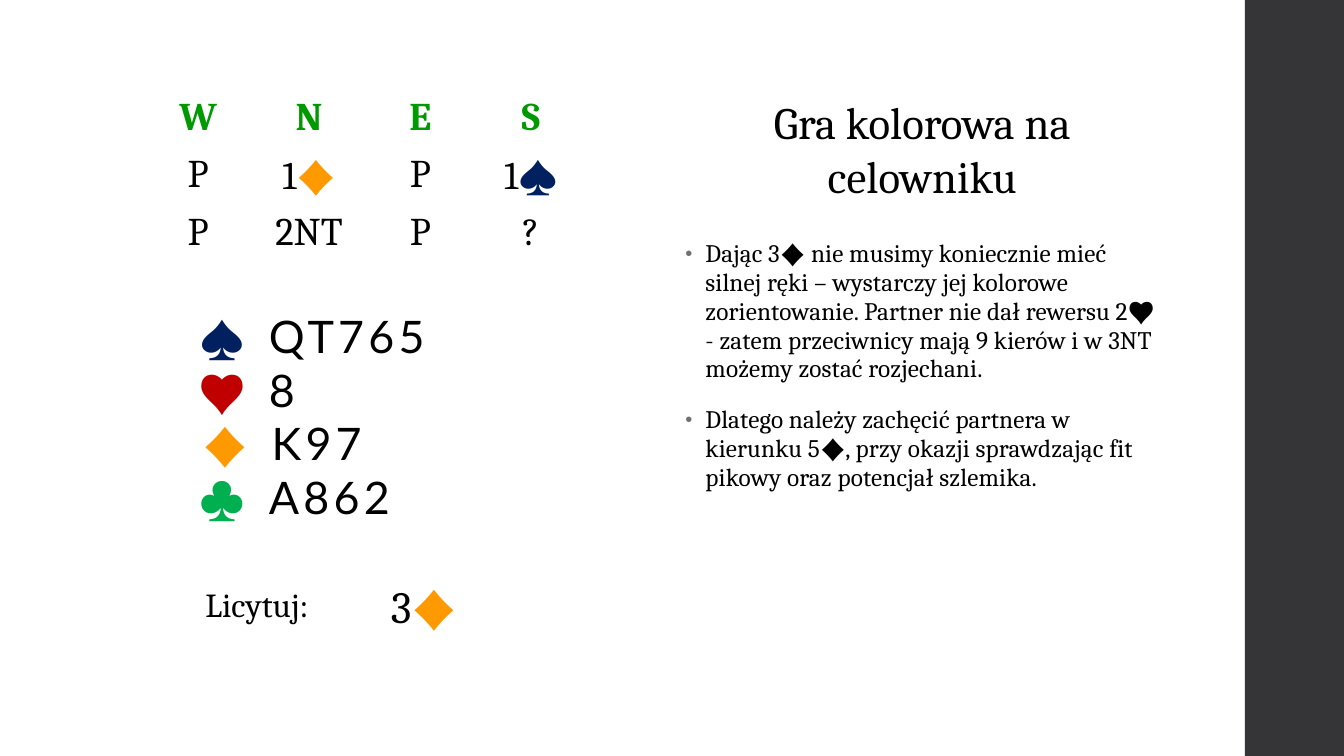
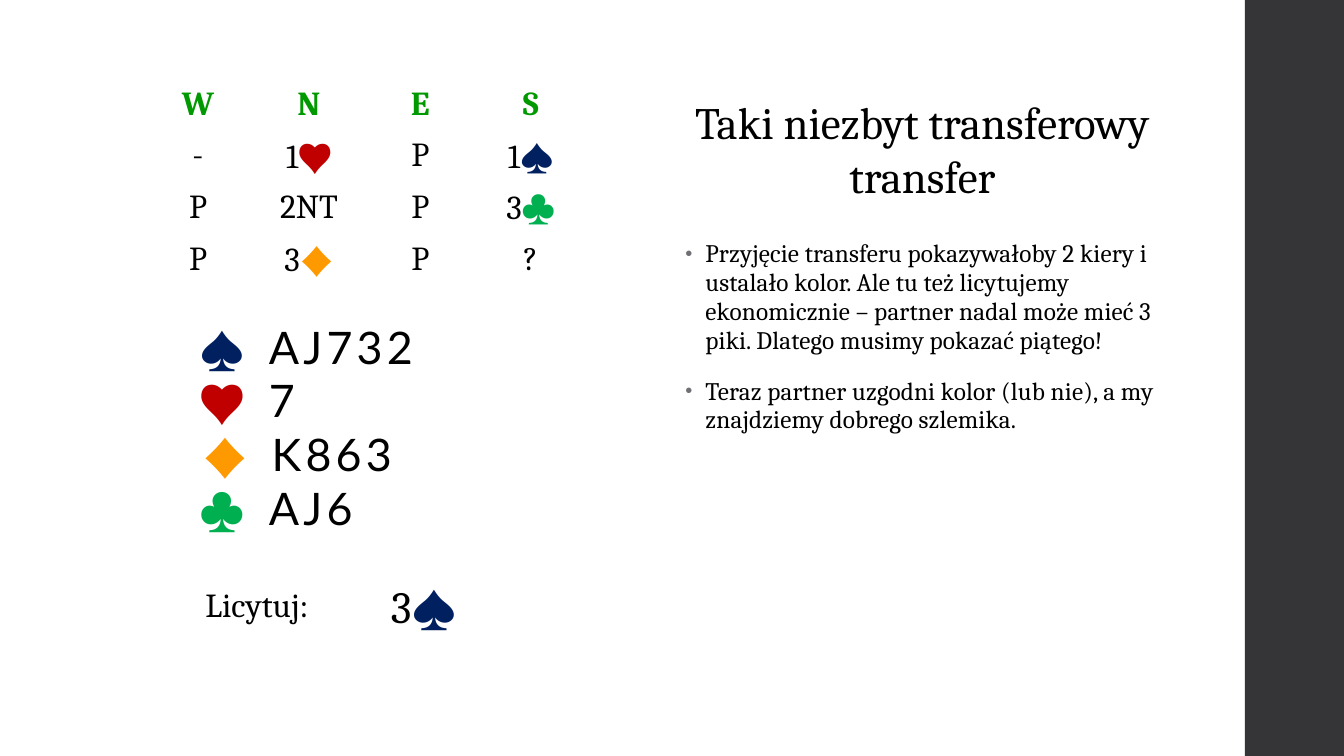
from itertools import groupby

from lxml.etree import SubElement
from pptx import Presentation
from pptx.dml.color import RGBColor
from pptx.enum.shapes import MSO_SHAPE as Shape
from pptx.enum.text import MSO_ANCHOR as Anchor, MSO_AUTO_SIZE as AutoSize, PP_ALIGN as Align
from pptx.oxml.ns import qn
from pptx.util import Pt

SERIF, SANS = "Cambria", "Lato"
BLACK = RGBColor(0x00, 0x00, 0x00)
BAND_GRAY = RGBColor(0x35, 0x35, 0x37)
HEADER_GREEN = RGBColor(0x00, 0x99, 0x00)
BULLET_GRAY = RGBColor(0x6F, 0x6F, 0x74)
SUIT_COLOURS = {
    "♠": RGBColor(0x00, 0x20, 0x60),
    "♥": RGBColor(0xC0, 0x00, 0x00),
    "♦": RGBColor(0xFF, 0x99, 0x00),
    "♣": RGBColor(0x00, 0xB0, 0x50),
}

SLIDE_WIDTH, SLIDE_HEIGHT = 960, 540
BAND_LEFT = 889.2
RIGHT_LEFT, RIGHT_WIDTH = 482.4, 353
AUCTION_COLUMNS = (78.5, 80, 79, 79)
BID_COLUMNS = (177, 114)

DEALS = (
    {
        "title": "Gra kolorowa na celowniku",
        "auction": (("W", "N", "E", "S"), ("P", "1♦", "P", "1♠"), ("P", "2NT", "P", "?")),
        "auction_top": 63.4,
        "auction_size": 28,
        "hand": ("QT765", "8", "K97", "A862"),
        "hand_top": 216.8,
        "bid": "3♦",
        "comments": (
            "Dając 3♦ nie musimy koniecznie mieć silnej ręki – wystarczy jej kolorowe "
            "zorientowanie. Partner nie dał rewersu 2♥ - zatem przeciwnicy mają 9 kierów "
            "i w 3NT możemy zostać rozjechani.",
            "Dlatego należy zachęcić partnera w kierunku 5♦, przy okazji sprawdzając fit "
            "pikowy oraz potencjał szlemika.",
        ),
    },
    {
        "title": "Taki niezbyt transferowy transfer",
        "auction": (("W", "N", "E", "S"), ("-", "1♥", "P", "1♠"),
                    ("P", "2NT", "P", "3♣"), ("P", "3♦", "P", "?")),
        "auction_top": 56.9,
        "auction_size": 24,
        "hand": ("AJ732", "7", "K863", "AJ6"),
        "hand_top": 224.6,
        "bid": "3♠",
        "comments": (
            "Przyjęcie transferu pokazywałoby 2 kiery i ustalało kolor. Ale tu też "
            "licytujemy ekonomicznie – partner nadal może mieć 3 piki. Dlatego musimy "
            "pokazać piątego!",
            "Teraz partner uzgodni kolor (lub nie), a my znajdziemy dobrego szlemika.",
        ),
    },
)


def style_span(span, size, font=SERIF, colour=BLACK, bold=False, spacing=0):
    span.font.size = Pt(size)
    span.font.name = font
    span.font.color.rgb = colour
    span.font.bold = bold
    if spacing:
        span._r.get_or_add_rPr().set("spc", str(round(spacing * 100)))


def add_span(para, text, size, **style):
    span = para.add_run()
    span.text = text
    style_span(span, size, **style)


def add_call(para, call, size, **style):
    """Write a bid, with its suit symbol in the suit's colour."""
    for suit, characters in groupby(call, key=SUIT_COLOURS.get):
        text = "".join(characters)
        if suit is None:
            add_span(para, text, size, **style)
        else:
            add_span(para, text, size, font=SANS, colour=suit, spacing=3)


def add_plain_table(slide, left, top, columns, row_count, row_height):
    frame = slide.shapes.add_table(row_count, len(columns), Pt(left), Pt(top),
                                   Pt(sum(columns)), Pt(row_count * row_height))
    table = frame.table
    table.first_row = table.horz_banding = False
    for column, width in zip(table.columns, columns):
        column.width = Pt(width)
    for cell in table.iter_cells():
        cell.fill.background()
        cell.vertical_anchor = Anchor.MIDDLE
        cell.text_frame.paragraphs[0].alignment = Align.CENTER
    return table


def row_height(size):
    """Height of one line of text plus the cell margins."""
    return round(size * 1.2 + 7.2, 2)


def add_auction(slide, rows, top, size):
    table = add_plain_table(slide, 102.2, top, AUCTION_COLUMNS, len(rows), row_height(size))
    for row_index, calls in enumerate(rows):
        header = row_index == 0
        for column_index, call in enumerate(calls):
            para = table.cell(row_index, column_index).text_frame.paragraphs[0]
            add_call(para, call, size, bold=header, colour=HEADER_GREEN if header else BLACK)


def add_bid(slide, bid):
    table = add_plain_table(slide, 95, 410.4, BID_COLUMNS, 1, row_height(32))
    label, answer = (cell.text_frame.paragraphs[0] for cell in table.iter_cells())
    add_span(label, "Licytuj:", 24)
    answer.alignment = Align.LEFT
    add_call(answer, bid, 32)


def add_text_box(slide, left, top, width, height):
    box = slide.shapes.add_textbox(Pt(left), Pt(top), Pt(width), Pt(height))
    box.text_frame.word_wrap = True
    return box.text_frame


def paragraphs_for(frame, items):
    """Pair each item with its own paragraph of the frame."""
    for index, item in enumerate(items):
        yield (frame.add_paragraph() if index else frame.paragraphs[0]), item


def set_tabs(para, *stops):
    tabs = SubElement(para._p.get_or_add_pPr(), qn("a:tabLst"))
    for position, alignment in stops:
        SubElement(tabs, qn("a:tab"), pos=str(Pt(position)), algn=alignment)


def add_hand(slide, holdings, top):
    frame = add_text_box(slide, 134.6, top, 251.3, 162.7)
    for para, (suit, cards) in paragraphs_for(frame, zip(SUIT_COLOURS, holdings)):
        if suit == "♦":
            para._p.get_or_add_pPr().set("marL", str(Pt(2)))
        set_tabs(para, (36, "r"), (50.4, "l"))
        add_span(para, "\t", 28, font=SANS, spacing=3)
        add_span(para, f"{suit}\t", 32, font=SANS, colour=SUIT_COLOURS[suit], spacing=3)
        add_span(para, cards, 32, font=SANS, spacing=3)


def set_bullet(para, indent):
    properties = para._p.get_or_add_pPr()
    properties.set("marL", str(Pt(indent)))
    properties.set("indent", str(-Pt(indent)))
    colour = SubElement(properties, qn("a:buClr"))
    SubElement(colour, qn("a:srgbClr"), val=str(BULLET_GRAY))
    SubElement(properties, qn("a:buSzPct"), val="80000")
    SubElement(properties, qn("a:buFont"), typeface="Arial")
    SubElement(properties, qn("a:buChar"), char="•")


def add_comments(slide, comments):
    frame = add_text_box(slide, RIGHT_LEFT, 167.8, RIGHT_WIDTH, 324.7)
    for para, comment in paragraphs_for(frame, comments):
        set_bullet(para, 14.4)
        para.line_spacing = 0.95
        para.space_before = Pt(0 if comment is comments[0] else 14)
        para.space_after = Pt(2)
        add_span(para, comment, 18, spacing=0.1)


def set_title(slide, text):
    title = slide.shapes.title
    title.left, title.top = Pt(RIGHT_LEFT), Pt(63.4)
    title.width, title.height = Pt(RIGHT_WIDTH), Pt(85)
    frame = title.text_frame
    frame.text = text
    frame.word_wrap = True
    frame.auto_size = AutoSize.NONE
    frame.vertical_anchor = Anchor.MIDDLE
    para = frame.paragraphs[0]
    para.alignment = Align.CENTER
    style_span(para.runs[0], 32)


def add_layout_band(slide):
    """Draw the side band and move it to the layout, so all slides show it."""
    band = slide.shapes.add_shape(Shape.RECTANGLE, Pt(BAND_LEFT), 0,
                                  Pt(SLIDE_WIDTH - BAND_LEFT), Pt(SLIDE_HEIGHT))
    band.shadow.inherit = False
    band.fill.solid()
    band.fill.fore_color.rgb = BAND_GRAY
    band.line.fill.background()
    slide.slide_layout.shapes.element.append(band.element)


def add_deal(deck, deal):
    slide = deck.slides.add_slide(deck.slide_layouts.get_by_name("Title Only"))
    set_title(slide, deal["title"])
    add_auction(slide, deal["auction"], deal["auction_top"], deal["auction_size"])
    add_hand(slide, deal["hand"], deal["hand_top"])
    add_bid(slide, deal["bid"])
    add_comments(slide, deal["comments"])
    return slide


def main():
    deck = Presentation()
    deck.slide_width, deck.slide_height = Pt(SLIDE_WIDTH), Pt(SLIDE_HEIGHT)
    slides = [add_deal(deck, deal) for deal in DEALS]
    add_layout_band(slides[0])
    deck.save("out.pptx")


if __name__ == "__main__":
    main()
